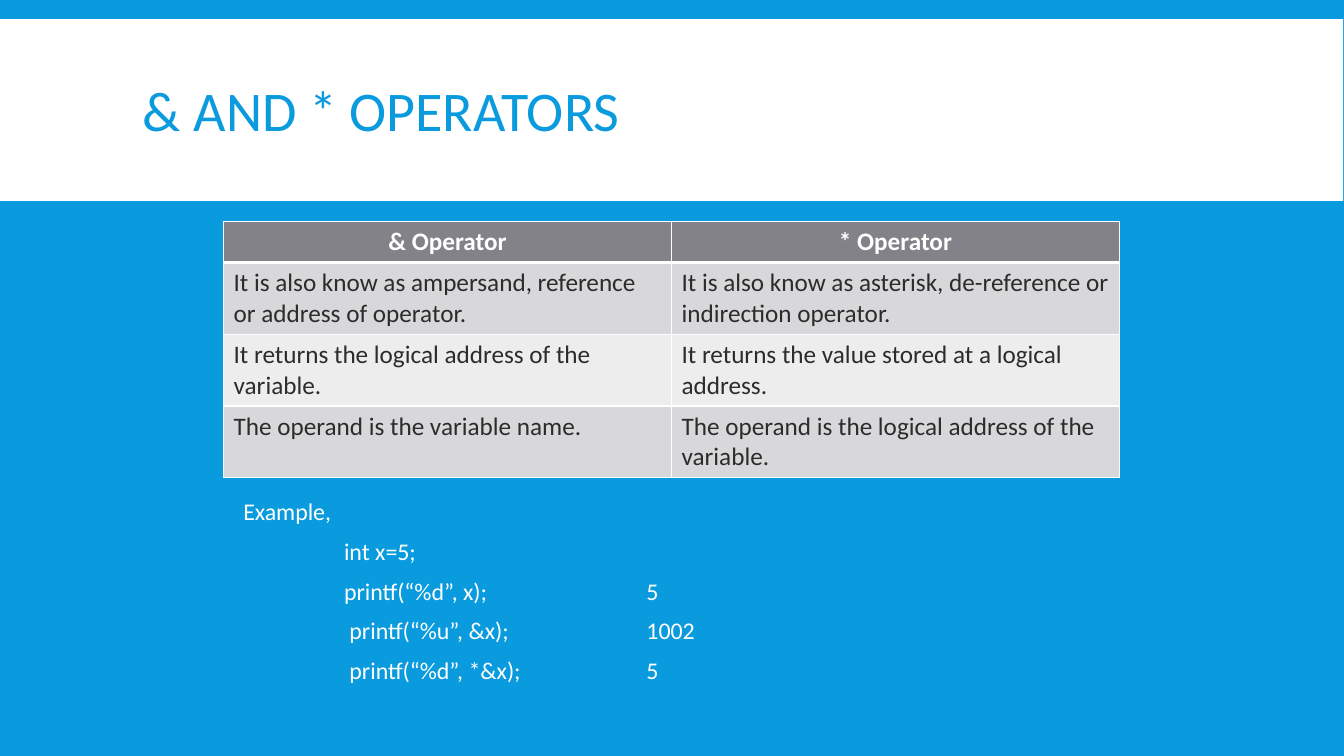
from lxml.etree import SubElement
from pptx import Presentation
from pptx.dml.color import RGBColor
from pptx.enum.shapes import MSO_SHAPE
from pptx.enum.text import MSO_ANCHOR, PP_ALIGN
from pptx.oxml.ns import qn
from pptx.util import Pt

BLUE, WHITE, DARK = "099BDD", "FFFFFF", "2C2C2C"
HEADER_FILL, BAND_FILLS = "828288", ("D8D8DA", "EDEDED")

TITLE = "& AND * OPERATORS"
ROWS = [
    ("& Operator", "* Operator"),
    ("It is also know as ampersand, reference or address of operator.",
     "It is also know as asterisk, de-reference or indirection operator."),
    ("It returns the logical address of the variable.",
     "It returns the value stored at a logical address."),
    ("The operand is the variable name.",
     "The operand is the logical address of the variable."),
]
EXAMPLE = [
    "Example,",
    "\tint x=5;",
    "\tprintf(“%d”, x);\t5",
    "\t printf(“%u”, &x);\t1002",
    "\t printf(“%d”, *&x);\t5",
]
TAB_STOPS = (72, 288)
HEADER_HEIGHT, ROW_HEIGHT, COLUMN_WIDTH = 29.2, 51.2, 320


def color(value):
    return RGBColor.from_string(value)


def paint(target, value):
    target.fill.solid()
    target.fill.fore_color.rgb = color(value)


def add_text(paragraph, text, size, value, bold=False):
    run = paragraph.add_run()
    run.text = text
    run.font.name = "Calibri"
    run.font.size = Pt(size)
    run.font.bold = bold
    run.font.color.rgb = color(value)


def add_text_box(left, top, width, height):
    frame = slide.shapes.add_textbox(Pt(left), Pt(top), Pt(width), Pt(height)).text_frame
    frame.word_wrap = True
    return frame


def add_borders(cell, top, bottom):
    properties = cell._tc.get_or_add_tcPr()
    for side, width in (("L", 1), ("R", 1), ("T", top), ("B", bottom)):
        line = SubElement(properties, qn("a:ln" + side), w=str(Pt(width)))
        fill = SubElement(line, qn("a:solidFill"))
        SubElement(fill, qn("a:srgbClr"), val=WHITE)


def add_tab_stops(paragraph):
    stops = SubElement(paragraph._p.get_or_add_pPr(), qn("a:tabLst"))
    for position in TAB_STOPS:
        SubElement(stops, qn("a:tab"), pos=str(Pt(position)), algn="l")


presentation = Presentation()
presentation.slide_width, presentation.slide_height = Pt(960), Pt(540)
slide = presentation.slides.add_slide(presentation.slide_layouts[6])
paint(slide.background, BLUE)

# Title band
band = slide.shapes.add_shape(MSO_SHAPE.RECTANGLE, 0, Pt(13.7), Pt(959.5), Pt(129.8))
band.shadow.inherit = False
paint(band, WHITE)
band.line.fill.background()

title = add_text_box(95, 22.3, 770, 118.8)
title.vertical_anchor = MSO_ANCHOR.MIDDLE
title.paragraphs[0].line_spacing = 0.85
add_text(title.paragraphs[0], TITLE, 40, BLUE)

# Operator comparison
table = slide.shapes.add_table(
    len(ROWS), 2, Pt(159.7), Pt(158.4), Pt(2 * COLUMN_WIDTH),
    Pt(HEADER_HEIGHT + (len(ROWS) - 1) * ROW_HEIGHT)).table
for column in table.columns:
    column.width = Pt(COLUMN_WIDTH)
for row, texts in enumerate(ROWS):
    header = row == 0
    table.rows[row].height = Pt(HEADER_HEIGHT if header else ROW_HEIGHT)
    for column, text in enumerate(texts):
        cell = table.cell(row, column)
        add_borders(cell, 3 if row == 1 else 1, 3 if header else 1)
        paint(cell, HEADER_FILL if header else BAND_FILLS[(row - 1) % 2])
        paragraph = cell.text_frame.paragraphs[0]
        paragraph.alignment = PP_ALIGN.CENTER if header else PP_ALIGN.LEFT
        add_text(paragraph, text, 18, WHITE if header else DARK, header)

# Code example with its output
example = add_text_box(173.8, 360.4, 684, 144)
example.margin_left = example.margin_right = example.margin_top = example.margin_bottom = 0
for index, text in enumerate(EXAMPLE):
    paragraph = example.add_paragraph() if index else example.paragraphs[0]
    paragraph.line_spacing = 0.7
    paragraph.space_before = Pt(12 if index else 0)
    paragraph.space_after = Pt(2)
    add_tab_stops(paragraph)
    add_text(paragraph, text, 17.1, WHITE)

presentation.save("out.pptx")
